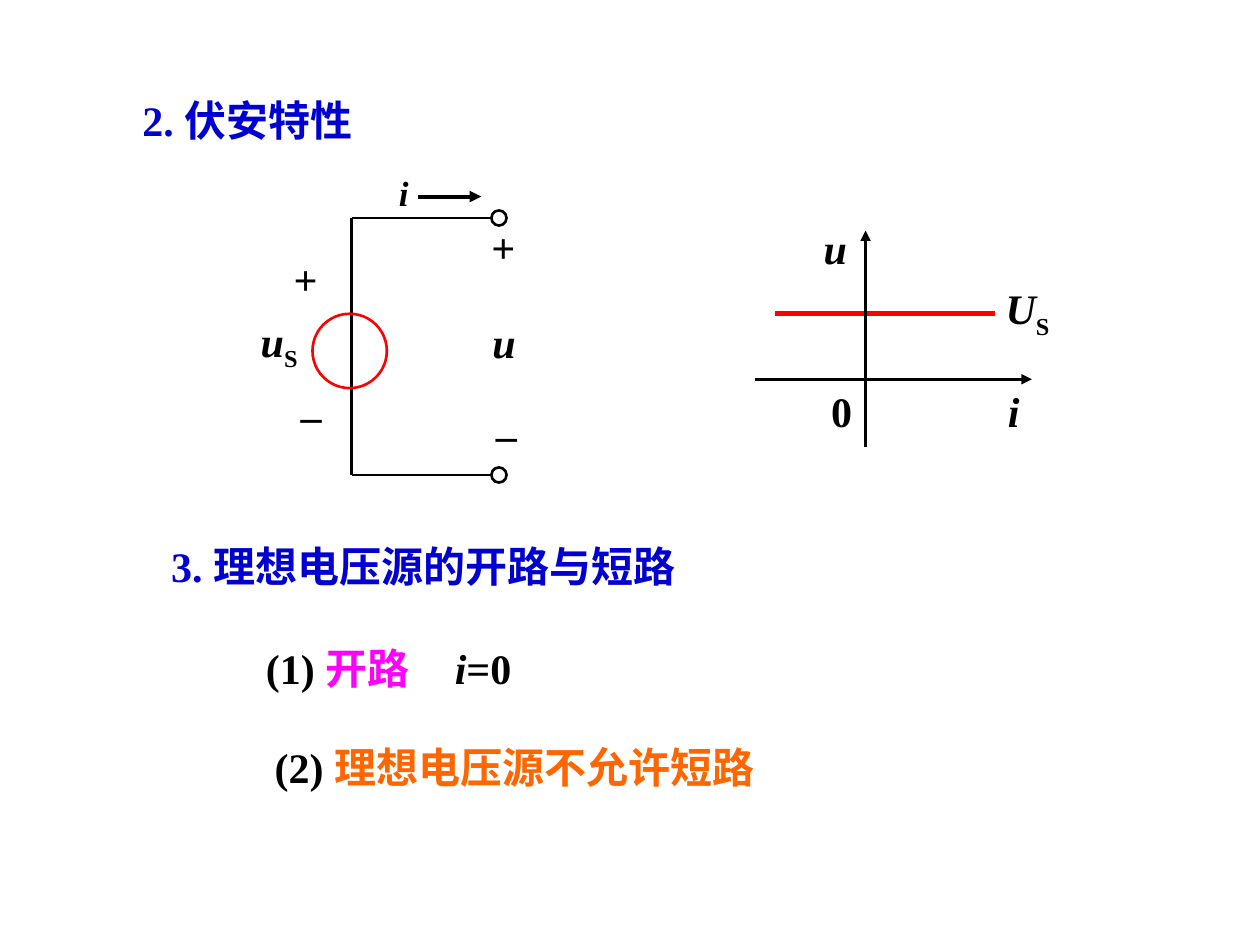
"""Build the slide on the volt-ampere characteristic of an ideal voltage source."""
from lxml import etree
from pptx import Presentation
from pptx import util as u
from pptx.dml.color import RGBColor
from pptx.enum import shapes, text
from pptx.oxml.ns import qn

BLACK, BLUE, RED = "000000", "0000D0", "FF0000"

deck = Presentation()
deck.slide_width, deck.slide_height = u.Inches(10), u.Inches(7.5)
column, row = deck.slide_width / 100, deck.slide_height / 75
page = deck.slides.add_slide(deck.slide_layouts[1])


def place(box, left, top, width, height):
    """Put a text box on the grid and give it plain, centred-in-height text settings."""
    box.left, box.width = round(left * column), round(width * column)
    box.top, box.height = round(top * row), round(height * row)
    frame = box.text_frame
    frame.word_wrap = False
    frame.auto_size = text.MSO_AUTO_SIZE.NONE
    frame.vertical_anchor = text.MSO_ANCHOR.MIDDLE
    return frame.paragraphs[0]


def write(para, parts, size=24):
    """Add runs of (wording, colour, style), where style is '', 'italic' or 'sub'."""
    for wording, colour, style in parts:
        span = para.add_run()
        span.text = wording
        span.font.name, span.font.size = "Times New Roman", u.Pt(size)
        span.font.bold, span.font.italic = True, style == "italic"
        span.font.color.rgb = RGBColor.from_string(colour)
        if style == "sub":
            span.font._element.set("baseline", "-25000")


para = place(page.shapes.title, 10.3, 7, 22, 5)
para.alignment = text.PP_ALIGN.LEFT
write(para, [("2. 伏安特性", BLUE, "")])

circuit = page.shapes.add_group_shape()
plot = page.shapes.add_group_shape()

wire_left, wire_right, wire_top, wire_bottom = 27.9, 39, 17.3, 37.7
lines = [
    (circuit, 33.2, 15.6, 38.2, 15.6, BLACK, 2.25, True),
    (circuit, wire_left, wire_bottom, wire_left, wire_top, BLACK, 1.5, False),
    (circuit, wire_right, wire_bottom, wire_left, wire_bottom, BLACK, 1.5, False),
    (circuit, wire_right, wire_top, wire_left, wire_top, BLACK, 1.5, False),
    (plot, 61.5, 24.9, 79, 24.9, RED, 3, False),
    (plot, 59.9, 30.1, 81.9, 30.1, BLACK, 1.5, True),
    (plot, 68.7, 35.5, 68.7, 18.3, BLACK, 1.5, True),
]
for group, x1, y1, x2, y2, colour, weight, arrow in lines:
    line = group.shapes.add_connector(
        shapes.MSO_CONNECTOR.STRAIGHT,
        round(x1 * column), round(y1 * row), round(x2 * column), round(y2 * row))
    line.line.color.rgb = RGBColor.from_string(colour)
    line.line.width = u.Pt(weight)
    if arrow:
        etree.SubElement(line.line._get_or_add_ln(), qn("a:tailEnd"), type="triangle")
    etree.SubElement(line._element.spPr, qn("a:effectLst"))

circles = [
    (27.75, 27.85, 5.9, RED),
    (wire_right + 0.6, wire_top, 1.2, BLACK),
    (wire_right + 0.6, wire_bottom, 1.2, BLACK),
]
for x, y, size, colour in circles:
    circle = circuit.shapes.add_shape(
        shapes.MSO_SHAPE.OVAL, round((x - size / 2) * column), round((y - size / 2) * row),
        round(size * column), round(size * row))
    circle.shadow.inherit = False
    circle.fill.background()
    circle.line.color.rgb = RGBColor.from_string(colour)
    circle.line.width = u.Pt(1.5)

labels = [
    (circuit, 19.7, 24.5, 4.9, 5.6, 24, "u", "italic", "S"),
    (circuit, 22.3, 20.1, 3.9, 5, 24, "+", "", ""),
    (circuit, 23, 29.3, 3.4, 5, 24, "_", "", ""),
    (circuit, 30.7, 13.1, 2.7, 4.4, 20, "i", "italic", ""),
    (circuit, 38.1, 24.6, 3.8, 5, 24, "u", "italic", ""),
    (circuit, 38, 17.5, 3.9, 5, 24, "+", "", ""),
    (circuit, 38.5, 30.8, 3.4, 5, 24, "_", "", ""),
    (plot, 78.7, 21.9, 5.7, 5.6, 24, "U", "italic", "S"),
    (plot, 64.4, 17.2, 3.8, 5, 24, "u", "italic", ""),
    (plot, 79, 30.1, 2.9, 5, 24, "i", "italic", ""),
    (plot, 65, 30.1, 3.6, 5, 24, "0", "", ""),
]
for group, left, top, width, height, size, symbol, style, index in labels:
    box = group.shapes.add_textbox(0, 0, 0, 0)
    para = place(box, left, top, width, height)
    para.alignment = text.PP_ALIGN.CENTER
    write(para, [(symbol, BLACK, style)], size)
    if index:
        write(para, [(index, BLACK, "sub")], size)
    if symbol == "+":
        box.rotation = 180

para = place(page.shapes.add_textbox(0, 0, 0, 0), 12.6, 42.4, 46.1, 5)
write(para, [("3. 理想电压源的开路与短路", BLUE, "")])

body = page.placeholders[1]
place(body, 20.1, 50.1, 46.3, 12.8)
items = [
    (0, 0, [("(1) ", BLACK, ""), ("开路\t", "FF00FF", ""), ("i", BLACK, "italic"), ("=0", BLACK, "")]),
    (0.7, 22, [("(2) ", BLACK, ""), ("理想电压源不允许短路", "FF6600", "")]),
]
for number, (indent, gap, parts) in enumerate(items):
    para = body.text_frame.add_paragraph() if number else body.text_frame.paragraphs[0]
    para.alignment = text.PP_ALIGN.LEFT
    para.line_spacing, para.space_before = u.Pt(35), u.Pt(gap)
    properties = para._p.get_or_add_pPr()
    properties.set("marL", str(round(indent * column)))
    properties.set("indent", "0")
    etree.SubElement(properties, qn("a:buNone"))
    stops = etree.SubElement(properties, qn("a:tabLst"))
    etree.SubElement(stops, qn("a:tab"), pos=str(round(15.6 * column)), algn="l")
    write(para, parts)

deck.save("out.pptx")
